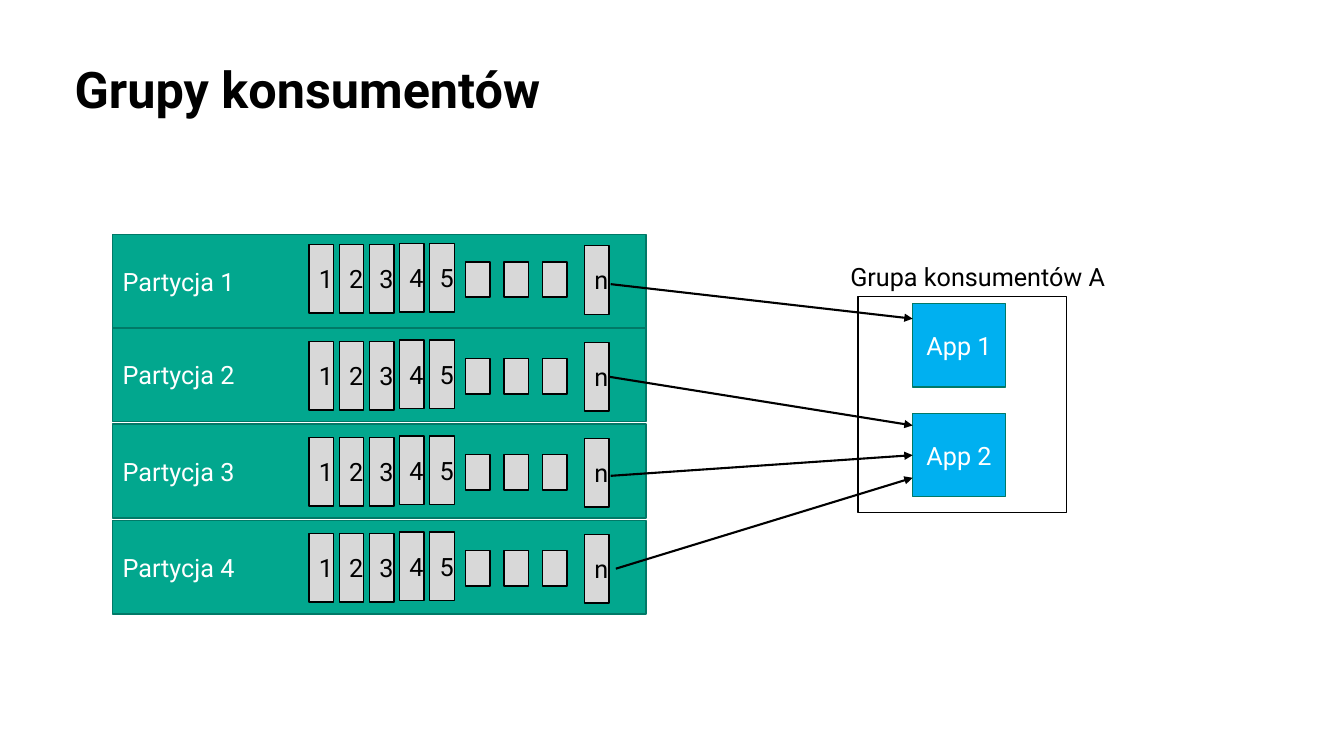
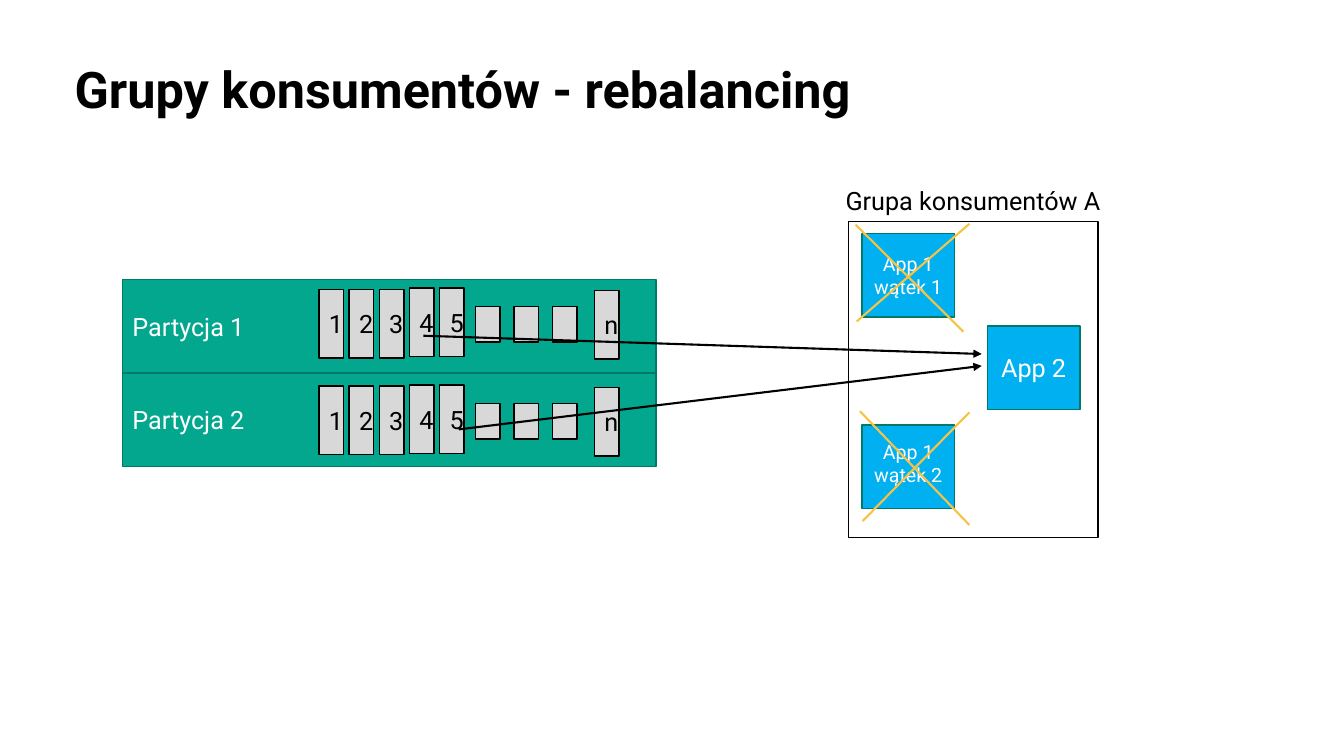
from dataclasses import dataclass

import pptx
import pptx.dml.color
import pptx.enum.shapes
import pptx.enum.text
import pptx.oxml
import pptx.oxml.ns
import pptx.util

Cm = pptx.util.Cm
Pt = pptx.util.Pt
ALIGN = pptx.enum.text.PP_ALIGN
ANCHOR = pptx.enum.text.MSO_ANCHOR
AUTO = pptx.enum.text.MSO_AUTO_SIZE

COLORS = {
    "black": "000000",
    "white": "FFFFFF",
    "band": "02A78E",
    "edge": "017967",
    "cell": "D8D8D8",
    "app": "00B0F0",
    "cross": "F8C344",
}
FONT = "Roboto"
TITLE_BOX = {"left": Cm(1.88), "top": Cm(0), "width": Cm(30.07), "height": Cm(3.12)}
TITLE_FRAME = {
    "margin_left": 0,
    "margin_right": 0,
    "margin_top": Cm(0.13),
    "margin_bottom": Cm(0.13),
    "vertical_anchor": ANCHOR.BOTTOM,
    "auto_size": AUTO.NONE,
    "word_wrap": True,
}
SHAPE_FRAME = {"vertical_anchor": ANCHOR.MIDDLE, "word_wrap": True}
LABEL_FRAME = {"word_wrap": True, "auto_size": AUTO.SHAPE_TO_FIT_TEXT}

BAND_W, BAND_H = 13.44, 2.36
CELL_W, CELL_H, DOT_H = 0.62, 1.73, 0.89
APP_W, APP_H = 2.34, 2.1


@dataclass
class Box:
    left: float
    top: float
    width: float
    height: float
    fill: str = ""
    edge: str = "black"
    text: str = ""
    color: str = "black"
    size: int = 18
    align: ALIGN = ALIGN.CENTER
    bottom: float = 0.13


@dataclass
class Partition:
    number: int
    left: float
    top: float
    cell_gap: float = 0.33


@dataclass
class App:
    text: str
    left: float
    top: float
    size: int = 18
    bottom: float = 0.13


@dataclass
class Line:
    x1: float
    y1: float
    x2: float
    y2: float
    color: str = "black"
    arrow: bool = True
    begin: str = ""
    end: str = ""


@dataclass
class Page:
    title: str
    partitions: list[Partition]
    frame: Box
    label: Box
    apps: list[App]
    lines: list[Line]


def set_all(target, values: dict) -> None:
    for name, value in values.items():
        setattr(target, name, value)


def rgb(name: str):
    return pptx.dml.color.RGBColor.from_string(COLORS[name])


def write(tf, text: str, size: int, color: str, align=ALIGN.LEFT, bold: bool = False) -> None:
    p = tf.paragraphs[0]
    p.text = text
    p.alignment = align
    for r in p.runs:
        set_all(r.font, {"name": FONT, "size": Pt(size), "bold": bold})
        r.font.color.rgb = rgb(color)


def draw_box(s, box: Box):
    sp = s.shapes.add_shape(
        pptx.enum.shapes.MSO_SHAPE.RECTANGLE,
        Cm(box.left), Cm(box.top), Cm(box.width), Cm(box.height),
    )
    sp.shadow.inherit = False
    if box.fill:
        sp.fill.solid()
        sp.fill.fore_color.rgb = rgb(box.fill)
    else:
        sp.fill.background()
    sp.line.color.rgb = rgb(box.edge)
    sp.line.width = Pt(1)
    if box.text:
        set_all(sp.text_frame, SHAPE_FRAME | {"margin_bottom": Cm(box.bottom)})
        write(sp.text_frame, box.text, box.size, box.color, box.align)
    return sp


def draw_partition(s, part: Partition):
    draw_box(s, Box(part.left, part.top, BAND_W, BAND_H, "band", "edge",
                    f"Partycja {part.number}", "white", align=ALIGN.LEFT))
    left, top = part.left + 4.95, part.top + part.cell_gap
    for i in range(5):
        lift = 0.03 if i > 2 else 0
        draw_box(s, Box(left + i * 0.76, top - lift, CELL_W, CELL_H, "cell", text=str(i + 1)))
    for i in range(3):
        draw_box(s, Box(part.left + 8.89 + i * 0.97, top + 0.44, CELL_W, DOT_H, "cell"))
    return draw_box(s, Box(part.left + 11.89, top + 0.03, CELL_W, CELL_H, "cell", text="n"))


def draw_app(s, app: App):
    return draw_box(s, Box(app.left, app.top, APP_W, APP_H, "app", "edge",
                           app.text, "white", app.size, bottom=app.bottom))


def draw_label(s, label: Box) -> None:
    sp = s.shapes.add_textbox(Cm(label.left), Cm(label.top), Cm(label.width), Cm(label.height))
    set_all(sp.text_frame, LABEL_FRAME)
    write(sp.text_frame, label.text, label.size, label.color)


def draw_line(s, line: Line, ends: dict) -> None:
    cn = s.shapes.add_connector(
        pptx.enum.shapes.MSO_CONNECTOR.STRAIGHT,
        Cm(line.x1), Cm(line.y1), Cm(line.x2), Cm(line.y2),
    )
    cn.line.color.rgb = rgb(line.color)
    cn.line.width = Pt(1.5)
    if line.begin:
        cn.begin_connect(ends[line.begin], 3)
    if line.end:
        cn.end_connect(ends[line.end], 1)
    sppr = cn._element.spPr
    if line.arrow:
        tail = pptx.oxml.parse_xml(f'<a:tailEnd {pptx.oxml.ns.nsdecls("a")} type="triangle"/>')
        sppr.find(pptx.oxml.ns.qn("a:ln")).append(tail)
    sppr.append(pptx.oxml.parse_xml(f'<a:effectLst {pptx.oxml.ns.nsdecls("a")}/>'))


def draw_page(prs, page: Page) -> None:
    s = prs.slides.add_slide(prs.slide_layouts[5])
    set_all(s.shapes.title, TITLE_BOX)
    set_all(s.shapes.title.text_frame, TITLE_FRAME)
    write(s.shapes.title.text_frame, page.title, 36, "black", bold=True)
    ends = {f"n{part.number}": draw_partition(s, part) for part in page.partitions}
    draw_box(s, page.frame)
    ends |= {app.text: draw_app(s, app) for app in page.apps}
    for line in page.lines:
        draw_line(s, line, ends)
    draw_label(s, page.label)


def cross(*strokes: tuple[float, float, float, float]) -> list[Line]:
    return [Line(*stroke, color="cross", arrow=False) for stroke in strokes]


GROUP = "Grupa konsumentów A"
PAGES = [
    Page(
        "Grupy konsumentów",
        [
            Partition(1, 2.84, 5.91, 0.25),
            Partition(2, 2.84, 8.27),
            Partition(3, 2.84, 10.69),
            Partition(4, 2.84, 13.11),
        ],
        Box(21.62, 7.47, 5.26, 5.44),
        Box(21.18, 6.45, 9.02, 1.02, text=GROUP),
        [App("App 1", 23, 7.65), App("App 2", 23, 10.42)],
        [
            Line(15.39, 7.16, 23, 8.03),
            Line(15.37, 9.45, 23, 10.72, begin="n2"),
            Line(15.39, 11.99, 23, 11.48, end="App 2"),
            Line(15.52, 14.33, 23, 12.04),
        ],
    ),
    Page(
        "Grupy konsumentów - rebalancing",
        [Partition(1, 3.09, 7.04, 0.25), Partition(2, 3.09, 9.4)],
        Box(21.39, 5.59, 6.28, 7.95),
        Box(21.06, 4.55, 7.62, 1.02, text=GROUP),
        [
            App("App 1\nwątek 1", 21.72, 5.89, 14),
            App("App 1\nwątek 2", 21.72, 10.71, 14, 0.3),
            App("App 2", 24.88, 8.22),
        ],
        [
            Line(10.67, 8.46, 24.74, 8.92),
            Line(11.56, 10.82, 24.74, 9.22),
            *cross((21.67, 10.36, 24.43, 13.23), (21.74, 13.13, 24.43, 10.39)),
            *cross((21.56, 5.66, 24.28, 8.36), (21.59, 8.1, 24.43, 5.64)),
        ],
    ),
]


def main() -> None:
    prs = pptx.Presentation()
    set_all(prs, {"slide_width": Cm(33.87), "slide_height": Cm(19.05)})
    for page in PAGES:
        draw_page(prs, page)
    prs.save("out.pptx")


if __name__ == "__main__":
    main()
